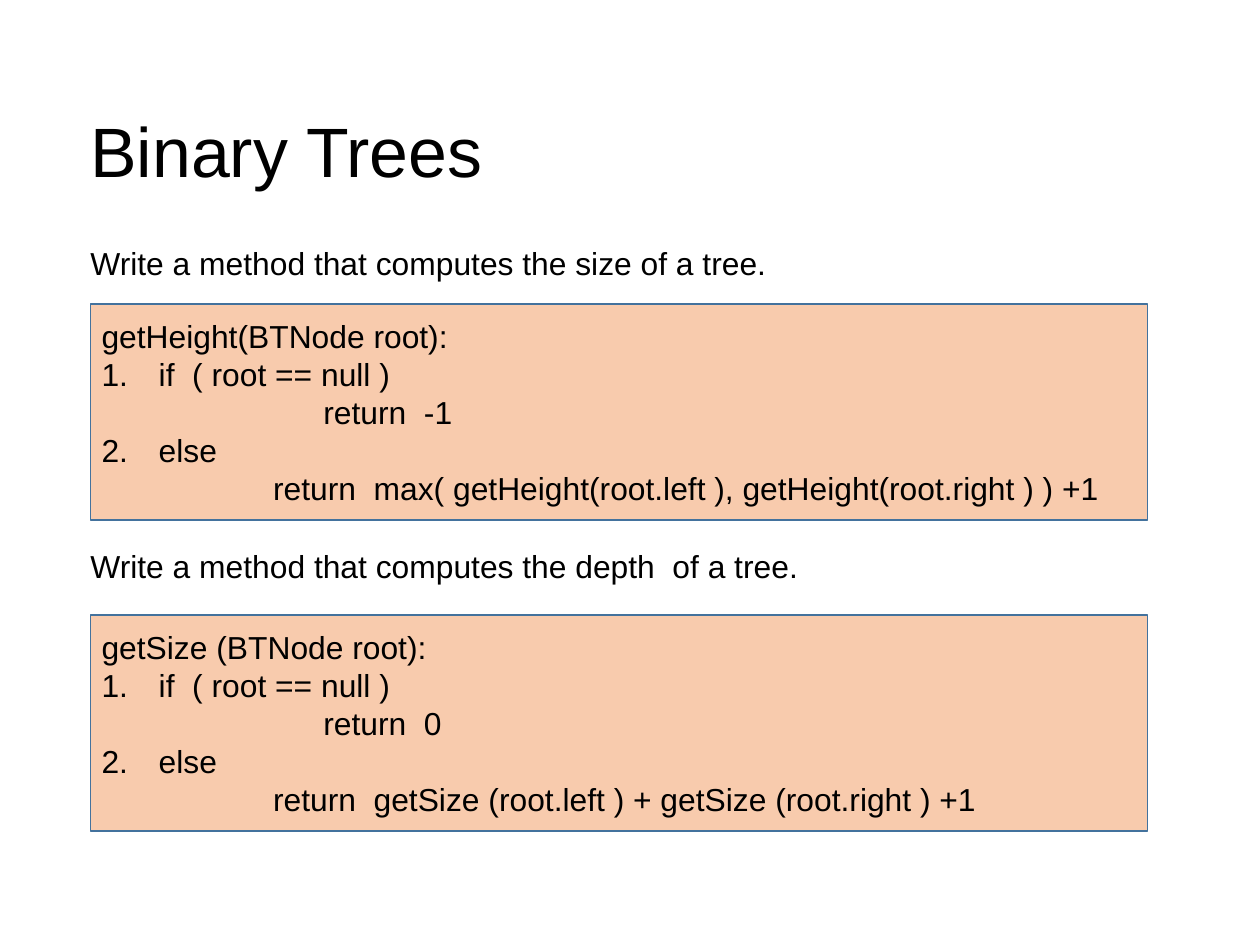
from dataclasses import dataclass

from lxml.etree import SubElement
from pptx import Presentation
from pptx.dml.color import RGBColor
from pptx.enum.shapes import MSO_SHAPE
from pptx.enum.text import MSO_ANCHOR, PP_ALIGN
from pptx.oxml.ns import qn
from pptx.util import Inches, Pt


@dataclass(frozen=True)
class Theme:
    font: str = "Arial"
    text: RGBColor = RGBColor(0x00, 0x00, 0x00)
    panel: RGBColor = RGBColor(0xF8, 0xCB, 0xAD)
    border: RGBColor = RGBColor(0x43, 0x72, 0x9D)
    title_size: Pt = Pt(44)
    body_size: Pt = Pt(20)


theme = Theme()
LEFT, WIDTH = Inches(0.79), Inches(9.25)
CM_PER_INCH = 2.54


def add_line(paragraph, words, size, indent=0, hanging=0, numbered=False):
    """Fill a paragraph with one run; lengths are in inches."""
    paragraph.alignment = PP_ALIGN.LEFT
    properties = paragraph._p.get_or_add_pPr()
    properties.set("marL", str(Inches(indent)))
    properties.set("indent", str(Inches(-hanging)))
    if numbered:
        SubElement(properties, qn("a:buFont"), typeface="+mj-lt")
        SubElement(properties, qn("a:buAutoNum"), type="arabicPeriod")
    run = paragraph.add_run()
    run.text = words
    run.font.name = theme.font
    run.font.size = size
    run.font.color.rgb = theme.text


def add_label(words, top, height, size, anchor):
    label = slide.shapes.add_textbox(LEFT, Inches(top), WIDTH, Inches(height))
    frame = label.text_frame
    frame.word_wrap = True
    frame.vertical_anchor = anchor
    frame.margin_left = frame.margin_right = 0
    frame.margin_top = frame.margin_bottom = 0
    add_line(frame.paragraphs[0], words, size)


deck = Presentation()
# The page measures 28 by 21 cm
deck.slide_width = Inches(28 / CM_PER_INCH)
deck.slide_height = Inches(21 / CM_PER_INCH)
slide = deck.slides.add_slide(deck.slide_layouts[6])

add_label("Binary Trees", 0.75, 1.12, theme.title_size, MSO_ANCHOR.MIDDLE)

# Task, its top, panel top, method heading, base case, recursive case
exercises = [
    ("Write a method that computes the size of a tree.", 2.13, 2.66,
     "getHeight(BTNode root):", "return  -1",
     "return  max( getHeight(root.left ), getHeight(root.right ) ) +1"),
    ("Write a method that computes the depth  of a tree.", 4.78, 5.38,
     "getSize (BTNode root):", "return  0",
     "return  getSize (root.left ) + getSize (root.right ) +1"),
]

for task, task_top, panel_top, heading, base_case, recursive_case in exercises:
    add_label(task, task_top, 0.35, theme.body_size, MSO_ANCHOR.TOP)

    panel = slide.shapes.add_shape(
        MSO_SHAPE.RECTANGLE, LEFT, Inches(panel_top), WIDTH, Inches(1.89))
    panel.shadow.inherit = False
    panel.fill.solid()
    panel.fill.fore_color.rgb = theme.panel
    panel.line.color.rgb = theme.border
    panel.line.width = Pt(1)
    code = panel.text_frame
    code.word_wrap = True
    code.vertical_anchor = MSO_ANCHOR.MIDDLE

    add_line(code.paragraphs[0], heading, theme.body_size)
    branches = [("if  ( root == null )", base_case, 1.94),
                ("else", recursive_case, 1.5)]
    for condition, result, result_indent in branches:
        add_line(code.add_paragraph(), condition, theme.body_size,
                 indent=0.5, hanging=0.5, numbered=True)
        result_line = code.add_paragraph()
        result_line.level = 1
        add_line(result_line, result, theme.body_size, indent=result_indent)

deck.save("out.pptx")
